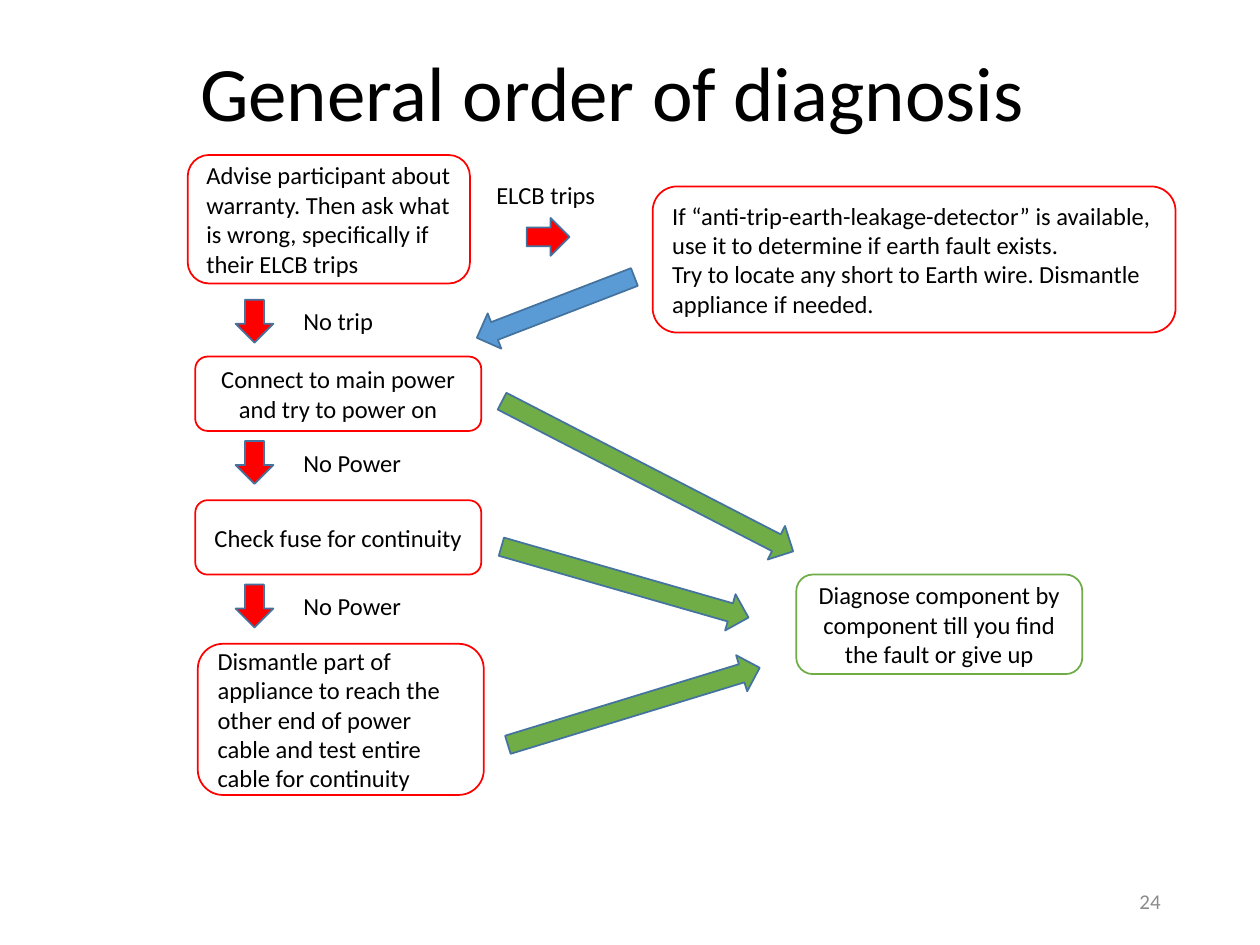
from pptx import Presentation
from pptx.dml.color import RGBColor
from pptx.enum.shapes import MSO_SHAPE
from pptx.enum.text import MSO_ANCHOR, MSO_AUTO_SIZE, PP_ALIGN
from pptx.util import Inches, Pt

RED, GREEN, BLUE, EDGE = "FF0000", "70AD47", "5B9BD5", "43739E"
BLACK, WHITE, GREY = "000000", "FFFFFF", "8C8C8C"
LEFT, CENTER, RIGHT = PP_ALIGN.LEFT, PP_ALIGN.CENTER, PP_ALIGN.RIGHT

TITLE = "General order of diagnosis"
PAGE_NUMBER = "24"

# text, (left, top, width, height), outline, alignment
BOXES = [
    ("Advise participant about warranty. Then ask what is wrong, "
     "specifically if their ELCB trips", (1.49, 1.23, 2.24, 1.02), RED, LEFT),
    ("Connect to main power and try to power on",
     (1.55, 2.83, 2.27, 0.59), RED, CENTER),
    ("Check fuse for continuity", (1.55, 3.97, 2.27, 0.59), RED, CENTER),
    ("Dismantle part of appliance to reach the other end of power cable "
     "and test entire cable for continuity", (1.57, 5.11, 2.27, 1.2), RED, LEFT),
    ("If “anti-trip-earth-leakage-detector” is available, use it to determine "
     "if earth fault exists.\nTry to locate any short to Earth wire. "
     "Dismantle appliance if needed.", (5.18, 1.48, 4.15, 1.16), RED, LEFT),
    ("Diagnose component by component till you find the fault or give up",
     (6.32, 4.56, 2.27, 0.79), GREEN, CENTER),
]

# text, (left, top, width, height)
LABELS = [
    ("ELCB trips", (3.84, 1.38, 0.99, 0.34)),
    ("No trip", (2.31, 2.38, 0.76, 0.34)),
    ("No Power", (2.31, 3.51, 0.98, 0.34)),
    ("No Power", (2.31, 4.64, 0.98, 0.34)),
]

# left, top, length, rotation of a down arrow, fill
ARROW_WIDTH = 0.3
ARROWS = [
    (1.87, 2.38, 0.34, 0, RED),
    (1.87, 3.5, 0.34, 0, RED),
    (1.87, 4.64, 0.34, 0, RED),
    (4.2, 1.71, 0.34, 270, RED),
    (4.99, 2.48, 2.6, 297.3, GREEN),
    (4.81, 3.6, 2.04, 286, GREEN),
    (4.88, 4.56, 2.09, 253, GREEN),
    (4.26, 1.77, 1.34, 68.9, BLUE),
]


def rgb(color):
    return RGBColor.from_string(color)


def write(sp, text, size=14, color=BLACK, align=LEFT,
          anchor=MSO_ANCHOR.MIDDLE, wrap=True):
    """Fill a shape with one paragraph; a newline becomes a line break."""
    tf = sp.text_frame
    tf.word_wrap = wrap
    tf.vertical_anchor = anchor
    p = tf.paragraphs[0]
    p.alignment = align
    for i, line in enumerate(text.split("\n")):
        if i:
            p.add_line_break()
        r = p.add_run()
        r.text = line
        r.font.name = "Calibri"
        r.font.size = Pt(size)
        r.font.color.rgb = rgb(color)
    return p


def add_shape(slide, kind, place, fill, line):
    sp = slide.shapes.add_shape(kind, *map(Inches, place))
    sp.shadow.inherit = False
    sp.fill.solid()
    sp.fill.fore_color.rgb = rgb(fill)
    sp.line.color.rgb = rgb(line)
    sp.line.width = Pt(1)
    return sp


def add_text(slide, place, text, **style):
    sp = slide.shapes.add_textbox(*map(Inches, place))
    return sp, write(sp, text, **style)


def main():
    prs = Presentation()
    prs.slide_width, prs.slide_height = Inches(10), Inches(7.5)
    slide = prs.slides.add_slide(prs.slide_layouts[6])

    _, p = add_text(slide, (1.49, 0.04, 7.11, 1.45), TITLE, size=44)
    p.line_spacing = 0.9

    for text, place, line, align in BOXES:
        sp = add_shape(slide, MSO_SHAPE.ROUNDED_RECTANGLE, place, WHITE, line)
        write(sp, text, align=align)

    for text, place in LABELS:
        sp, _ = add_text(slide, place, text, anchor=MSO_ANCHOR.TOP, wrap=False)
        sp.text_frame.auto_size = MSO_AUTO_SIZE.SHAPE_TO_FIT_TEXT

    for left, top, length, rotation, fill in ARROWS:
        sp = add_shape(slide, MSO_SHAPE.DOWN_ARROW,
                       (left, top, ARROW_WIDTH, length), fill, EDGE)
        sp.rotation = rotation

    add_text(slide, (7.06, 6.95, 2.25, 0.4), PAGE_NUMBER,
             size=12, color=GREY, align=RIGHT)
    prs.save("out.pptx")


if __name__ == "__main__":
    main()
